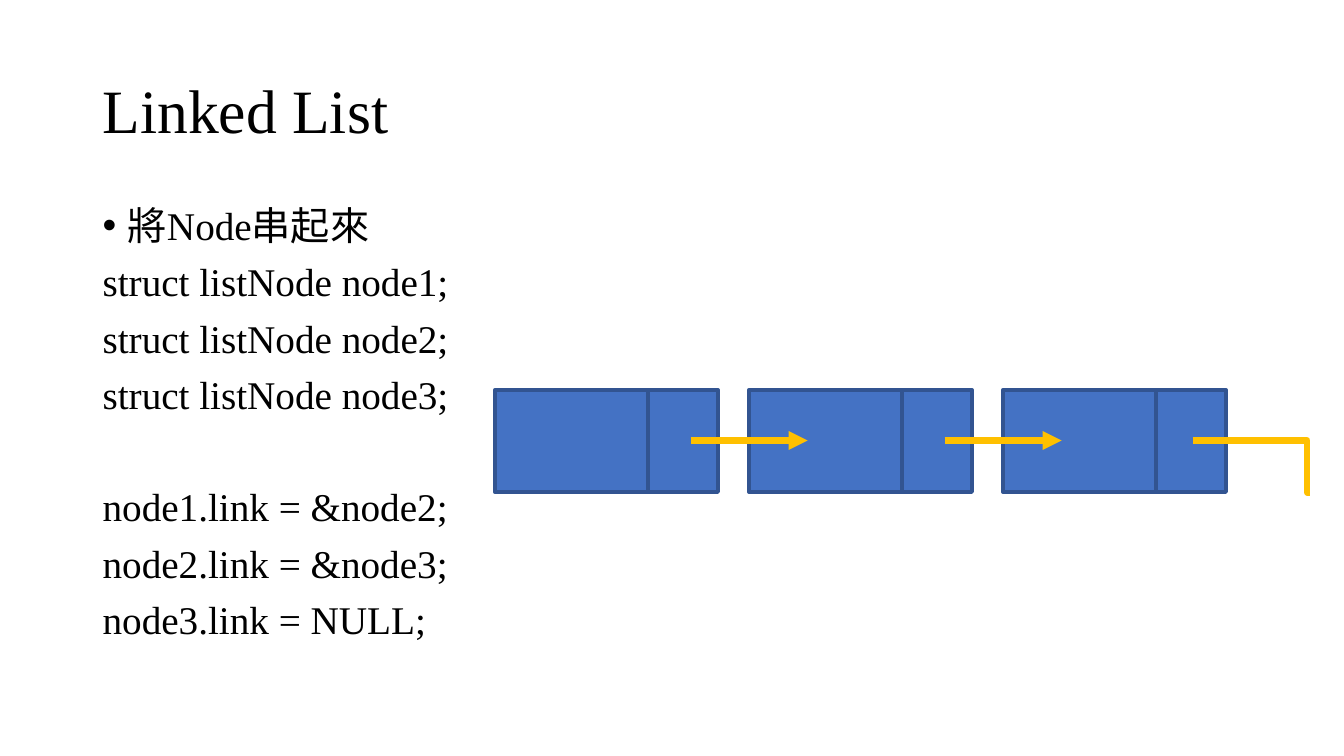
from pptx import Presentation
from pptx.dml.color import RGBColor as Rgb
from pptx.enum.shapes import MSO_CONNECTOR as Link, MSO_SHAPE as Form
from pptx.enum.text import MSO_ANCHOR as Anchor
from pptx.oxml.ns import qn
from pptx.util import Inches, Pt
from lxml.etree import SubElement as Sub

BLACK = Rgb(0x00, 0x00, 0x00)
BLUE = Rgb(0x44, 0x72, 0xC4)
NAVY = Rgb(0x32, 0x54, 0x91)
GOLD = Rgb(0xFF, 0xC0, 0x00)

LEFT, WIDE = 6.9, 86.25
START, STEP = 36.83, 18.9
TOP, HIGH, MID = 51.6, 13.47, 58.27
DATA, NEXT = 11.4, 5.18

LINES = [
    ("將Node串起來", 0, True),
    ("struct listNode node1;", 10, False),
    ("struct listNode node2;", 10, False),
    ("struct listNode node3;", 10, False),
    ("node1.link = &node2;", 50, False),
    ("node2.link = &node3;", 10, False),
    ("node3.link = NULL;", 10, False),
]


def apply(target, values):
    for name, value in values.items():
        setattr(target, name, value)


class Board:
    face = {"name": "Times New Roman"}

    def __init__(self, deck):
        self.slide = deck.slides.add_slide(deck.slide_layouts[6])
        self.col = deck.slide_width / 100
        self.row = deck.slide_height / 100

    def place(self, x, y, w, h):
        return [round(n) for n in (x * self.col, y * self.row, w * self.col, h * self.row)]

    def text(self, spot, lines, size, anchor):
        frame = self.slide.shapes.add_textbox(*self.place(*spot)).text_frame
        apply(frame, {"word_wrap": True, "vertical_anchor": anchor})
        for i, (words, gap, dot) in enumerate(lines):
            para = frame.add_paragraph() if i else frame.paragraphs[0]
            para.text = words
            if dot:
                self.bullet(para)
            apply(para, {"line_spacing": 0.9, "space_before": Pt(gap)})
            font = para.runs[0].font
            apply(font, {**self.face, "size": Pt(size)})
            font.color.rgb = BLACK

    def bullet(self, para):
        props = para._p.get_or_add_pPr()
        props.set("marL", str(Inches(0.25)))
        props.set("indent", str(-Inches(0.25)))
        Sub(props, qn("a:buFont")).set("typeface", "Arial")
        Sub(props, qn("a:buChar")).set("char", "•")

    def stroke(self, line, color, width):
        line.color.rgb = color
        line.width = Pt(width)

    def node(self, x):
        group = self.slide.shapes.add_group_shape()
        for left, width in ((x, DATA), (x + DATA, NEXT)):
            cell = group.shapes.add_shape(Form.RECTANGLE, *self.place(left, TOP, width, HIGH))
            cell.shadow.inherit = False
            cell.fill.solid()
            cell.fill.fore_color.rgb = BLUE
            self.stroke(cell.line, NAVY, 3)

    def link(self, kind, x, y, run, drop=0):
        ends = self.place(x, y, x + run, y + drop)
        wire = self.slide.shapes.add_connector(kind, *ends)
        self.stroke(wire.line, GOLD, 4.5)
        props = wire._element.spPr
        Sub(props, qn("a:effectLst"))
        if kind == Link.ELBOW:
            guide = Sub(props.find(qn("a:prstGeom")).find(qn("a:avLst")), qn("a:gd"))
            guide.set("name", "adj1")
            guide.set("fmla", "val 97500")
        else:
            Sub(props.find(qn("a:ln")), qn("a:tailEnd")).set("type", "triangle")


def main():
    deck = Presentation()
    apply(deck, {"slide_width": Inches(13.33), "slide_height": Inches(7.5)})
    board = Board(deck)
    board.text((LEFT, 5.33, WIDE, 19.33), [("Linked List", 0, False)], 44, Anchor.MIDDLE)
    board.text((LEFT, 26.67, WIDE, 63.47), LINES, 28, Anchor.TOP)
    for i in range(3):
        board.node(START + i * STEP)
    for i in range(2):
        board.link(Link.STRAIGHT, START + i * STEP + 14.56, MID, 8.7)
    board.link(Link.ELBOW, 88.73, MID, 8.75, 6.87)
    deck.save("out.pptx")


if __name__ == "__main__":
    main()
